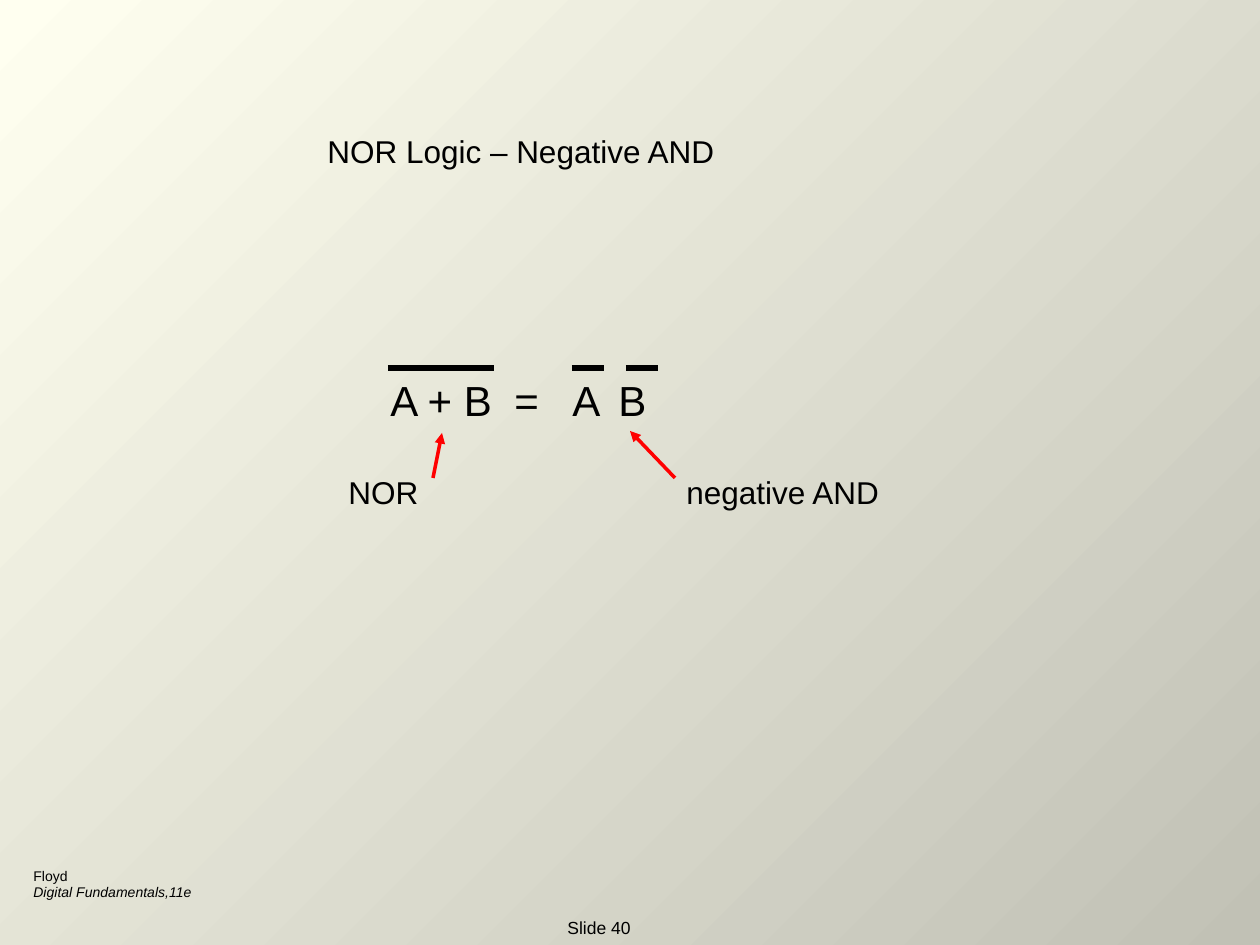
from dataclasses import dataclass

from lxml.etree import SubElement
from pptx import Presentation
from pptx.dml.color import RGBColor
from pptx.enum.shapes import MSO_CONNECTOR as Connector
from pptx.enum.text import MSO_AUTO_SIZE as AutoSize, PP_ALIGN as Align
from pptx.oxml.ns import qn
from pptx.slide import Slide
from pptx.util import Emu, Pt

EMU_PER_PX = 914400 / 126
COLORS = {"text": "000000", "arrow": "FF0000", "light": "FFFFF0", "dark": "C1C1B5"}


@dataclass(frozen=True)
class Label:
    lines: tuple[str, ...]
    left: int
    top: int
    width: int
    height: int
    size: int
    align: Align = Align.LEFT
    tabs: tuple[int, ...] = ()
    italic_lines: tuple[int, ...] = ()


@dataclass(frozen=True)
class Stroke:
    start: tuple[int, int]
    end: tuple[int, int]
    color: str
    weight: int
    arrow: bool = False


LABELS = (
    Label(("Floyd", "Digital Fundamentals,11e"), 21, 861, 609, 47, 8, italic_lines=(1,)),
    Label(("Slide 40",), 494, 911, 210, 34, 10, Align.CENTER),
    Label(("NOR Logic – Negative AND",), 315, 126, 809, 50, 18),
    Label(("A + B\t=\tA\tB",), 378, 368, 305, 63, 24, tabs=(124, 182, 228)),
    Label(("NOR\tnegative AND",), 336, 467, 678, 50, 18, tabs=(338,)),
)

OVERLINE_Y = 368
OVERLINES = ((388, 494), (572, 604), (626, 658))
ARROWS = (
    Stroke((433, 478), (442, 433), "arrow", 2, True),
    Stroke((675, 478), (630, 431), "arrow", 2, True),
)


def px(value: int) -> Emu:
    return Emu(round(value * EMU_PER_PX))


def rgb(name: str) -> RGBColor:
    return RGBColor.from_string(COLORS[name])


def paint_background(page: Slide) -> None:
    fill = page.background.fill
    fill.gradient()
    fill.gradient_angle = 315  # counter-clockwise, so light starts at top left
    for stop, name in zip(fill.gradient_stops, ("light", "dark")):
        stop.color.rgb = rgb(name)


def draw_label(page: Slide, label: Label) -> None:
    box = page.shapes.add_textbox(
        *map(px, (label.left, label.top, label.width, label.height)))
    frame = box.text_frame
    frame.word_wrap = True
    frame.auto_size = AutoSize.SHAPE_TO_FIT_TEXT
    para = frame.paragraphs[0]
    para.alignment = label.align

    # Tab stops hold the columns apart
    if label.tabs:
        tab_list = SubElement(para._p.get_or_add_pPr(), qn("a:tabLst"))
        for position in label.tabs:
            SubElement(tab_list, qn("a:tab"), pos=str(px(position)), algn="l")

    for index, line in enumerate(label.lines):
        if index:
            para.add_line_break()
        span = para.add_run()
        span.text = line
        span.font.color.rgb = rgb("text")
        formats = {"name": "Arial", "size": Pt(label.size),
                   "italic": index in label.italic_lines}
        for attribute, value in formats.items():
            setattr(span.font, attribute, value)


def draw_stroke(page: Slide, stroke: Stroke) -> None:
    connector = page.shapes.add_connector(
        Connector.STRAIGHT, *map(px, stroke.start + stroke.end))
    connector.line.color.rgb = rgb(stroke.color)
    connector.line.width = Pt(stroke.weight)
    if stroke.arrow:
        SubElement(connector.line._get_or_add_ln(), qn("a:tailEnd"), type="triangle")
    SubElement(connector._element.spPr, qn("a:effectLst"))


def main() -> None:
    deck = Presentation()
    deck.slide_width, deck.slide_height = px(1260), px(945)
    page = deck.slides.add_slide(deck.slide_layouts[6])
    paint_background(page)

    # Footer, title, equation and its captions
    for label in LABELS:
        draw_label(page, label)

    # Negation bars above the equation, then arrows to its two sides
    bars = tuple(Stroke((left, OVERLINE_Y), (right, OVERLINE_Y), "text", 3)
                 for left, right in OVERLINES)
    for stroke in bars + ARROWS:
        draw_stroke(page, stroke)

    deck.save("out.pptx")


if __name__ == "__main__":
    main()
